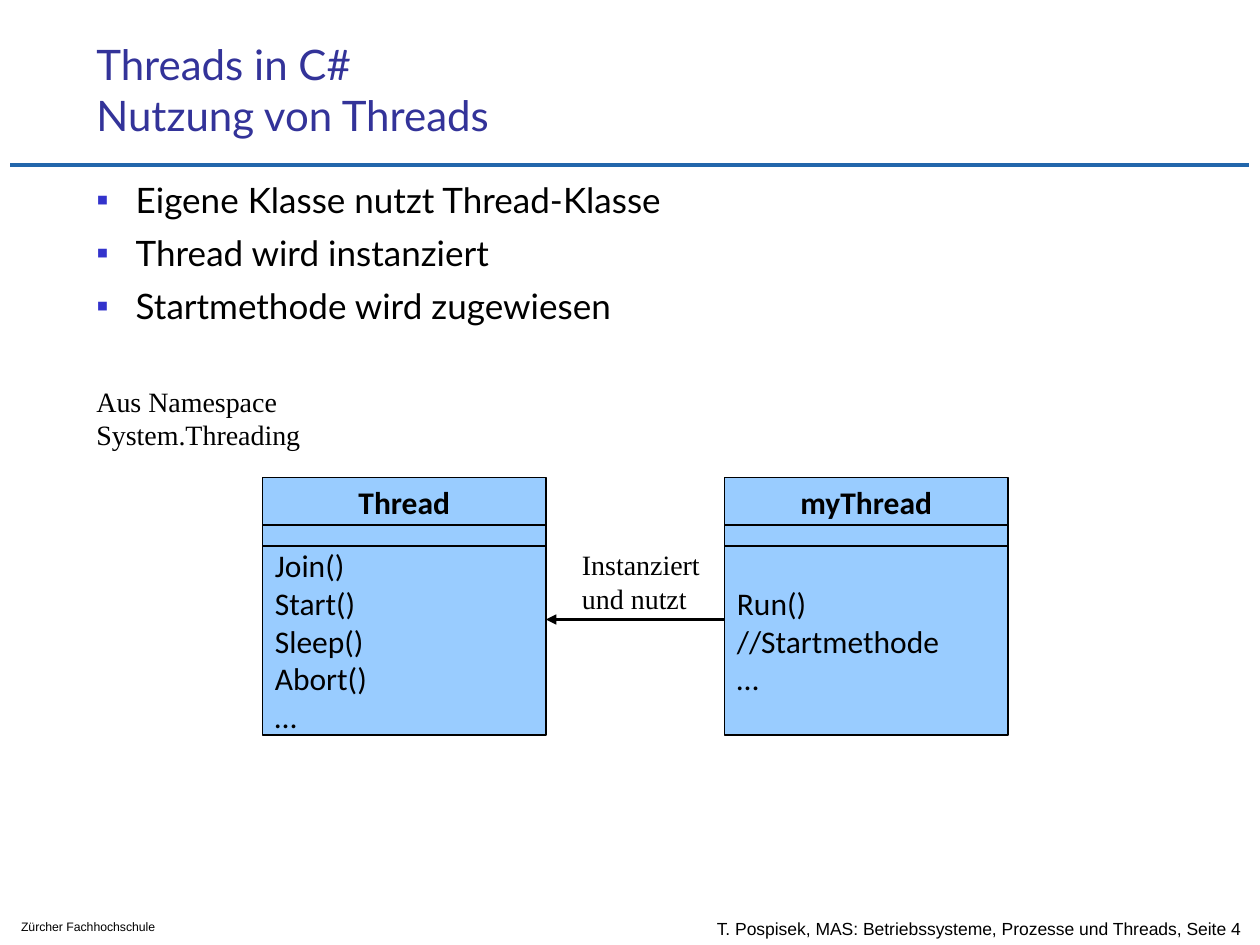
"""Build the slide on using threads in C#, with a small class diagram."""
from dataclasses import dataclass

from lxml import etree
from pptx import Presentation
from pptx.dml.color import RGBColor
from pptx.enum.shapes import MSO_CONNECTOR, MSO_SHAPE
from pptx.enum.text import MSO_ANCHOR, PP_ALIGN
from pptx.oxml.ns import qn
from pptx.util import Pt

STRAIGHT = MSO_CONNECTOR.STRAIGHT
RECTANGLE = MSO_SHAPE.RECTANGLE
TOP, MIDDLE = MSO_ANCHOR.TOP, MSO_ANCHOR.MIDDLE
LEFT, CENTER = PP_ALIGN.LEFT, PP_ALIGN.CENTER

COLORS = {
    "text": "000000",
    "title": "333399",
    "bullet": "3333CC",
    "rule": "2266AB",
    "class": "99CCFF",
}
CLASS_TOP, CLASS_WIDTH = 273, 162
NAME_HEIGHT, FIELDS_HEIGHT, METHODS_HEIGHT = 27, 12, 108


@dataclass(frozen=True)
class Style:
    font: str
    size: float
    color: str = "text"
    bold: bool = False


@dataclass(frozen=True)
class Label:
    text: str
    left: float
    top: float
    width: float
    height: float
    style: Style
    anchor: MSO_ANCHOR = TOP
    wrap: bool = True


@dataclass(frozen=True)
class UmlClass:
    name: str
    methods: str
    left: float


TITLE_STYLE = Style("Lato", 24, "title")
BODY_STYLE = Style("Lato", 20)
NOTE_STYLE = Style("Times New Roman", 16)
NAME_STYLE = Style("Calibri", 18, bold=True)
METHOD_STYLE = Style("Calibri", 18)

LABELS = [
    Label("T. Pospisek, MAS: Betriebssysteme, Prozesse und Threads, Seite 4",
          402.5, 518.5, 317.5, 24, Style("Arial", 10), MIDDLE),
    Label("Zürcher Fachhochschule", 5, 522, 124, 16, Style("Arial", 7)),
    Label("Threads in C#\nNutzung von Threads", 48, 24, 613.5, 54, TITLE_STYLE, MIDDLE),
    Label("Aus Namespace\nSystem.Threading", 48, 216, 131, 45.5, NOTE_STYLE, wrap=False),
    Label("Instanziert\nund nutzt", 325.5, 309.5, 85.5, 45.5, NOTE_STYLE, wrap=False),
]
BULLETS = Label(
    "Eigene Klasse nutzt Thread-Klasse\nThread wird instanziert\nStartmethode wird zugewiesen",
    48, 96, 570, 94.5, BODY_STYLE)
THREAD = UmlClass("Thread", "Join()\nStart()\nSleep()\nAbort()\n…", 150)
MY_THREAD = UmlClass("myThread", "Run()\n//Startmethode\n…", 414)


def rgb(name: str) -> RGBColor:
    return RGBColor.from_string(COLORS[name])


def write(frame, text: str, style: Style, anchor=TOP, wrap=True, align=LEFT) -> None:
    frame.text = text
    frame.word_wrap = wrap
    frame.vertical_anchor = anchor
    for paragraph in frame.paragraphs:
        paragraph.alignment = align
        for run in paragraph.runs:
            run.font.name = style.font
            run.font.size = Pt(style.size)
            run.font.bold = style.bold
            run.font.color.rgb = rgb(style.color)


def add_label(slide, label: Label):
    box = slide.shapes.add_textbox(
        Pt(label.left), Pt(label.top), Pt(label.width), Pt(label.height))
    write(box.text_frame, label.text, label.style, label.anchor, label.wrap)
    return box


def add_bullets(slide, label: Label) -> None:
    frame = add_label(slide, label).text_frame
    for index, paragraph in enumerate(frame.paragraphs):
        properties = paragraph._p.get_or_add_pPr()
        properties.set("marL", str(Pt(22.5)))
        properties.set("indent", str(Pt(-22.5)))
        bullet_color = etree.SubElement(properties, qn("a:buClr"))
        etree.SubElement(bullet_color, qn("a:srgbClr"), val=COLORS["bullet"])
        etree.SubElement(properties, qn("a:buFont"), typeface="Arial")
        etree.SubElement(properties, qn("a:buChar"), char="▪")
        paragraph.line_spacing = 1.1
        paragraph.space_before = Pt(4 if index else 0)


def add_compartment(slide, left: float, top: float, height: float):
    compartment = slide.shapes.add_shape(
        RECTANGLE, Pt(left), Pt(top), Pt(CLASS_WIDTH), Pt(height))
    compartment.shadow.inherit = False
    compartment.fill.solid()
    compartment.fill.fore_color.rgb = rgb("class")
    compartment.line.color.rgb = rgb("text")
    compartment.line.width = Pt(0.75)
    return compartment


def add_class(slide, uml: UmlClass) -> None:
    fields_top = CLASS_TOP + NAME_HEIGHT
    methods = add_compartment(slide, uml.left, fields_top + FIELDS_HEIGHT, METHODS_HEIGHT)
    write(methods.text_frame, uml.methods, METHOD_STYLE, MIDDLE, False)
    name = add_compartment(slide, uml.left, CLASS_TOP, NAME_HEIGHT)
    write(name.text_frame, uml.name, NAME_STYLE, MIDDLE, False, CENTER)
    add_compartment(slide, uml.left, fields_top, FIELDS_HEIGHT)


def add_line(slide, start: float, end: float, y: float, color: str, width: float,
             arrow: bool = False) -> None:
    line = slide.shapes.add_connector(STRAIGHT, Pt(start), Pt(y), Pt(end), Pt(y))
    line.line.color.rgb = rgb(color)
    line.line.width = Pt(width)
    if arrow:
        etree.SubElement(line.line._get_or_add_ln(), qn("a:tailEnd"), type="triangle")
    etree.SubElement(line._element.spPr, qn("a:effectLst"))


def main() -> None:
    presentation = Presentation()
    presentation.slide_width, presentation.slide_height = Pt(720), Pt(540)
    slide = presentation.slides.add_slide(presentation.slide_layouts[6])
    add_line(slide, 6, 714, 94.25, "rule", 2.5)
    for label in LABELS:
        add_label(slide, label)
    add_bullets(slide, BULLETS)
    for uml in (THREAD, MY_THREAD):
        add_class(slide, uml)
    add_line(slide, MY_THREAD.left, THREAD.left + CLASS_WIDTH, 354, "text", 1.5, arrow=True)
    presentation.save("out.pptx")


if __name__ == "__main__":
    main()
